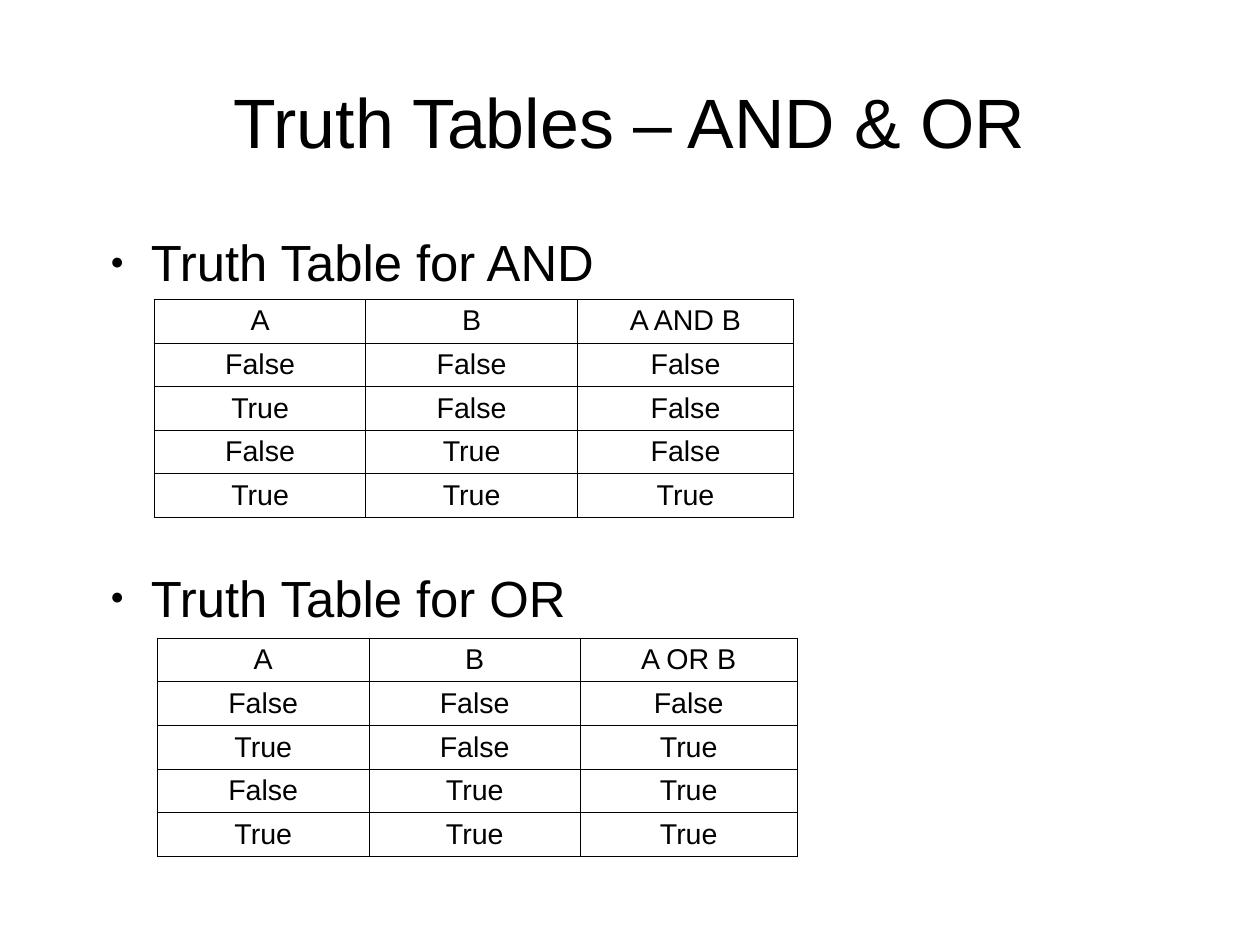
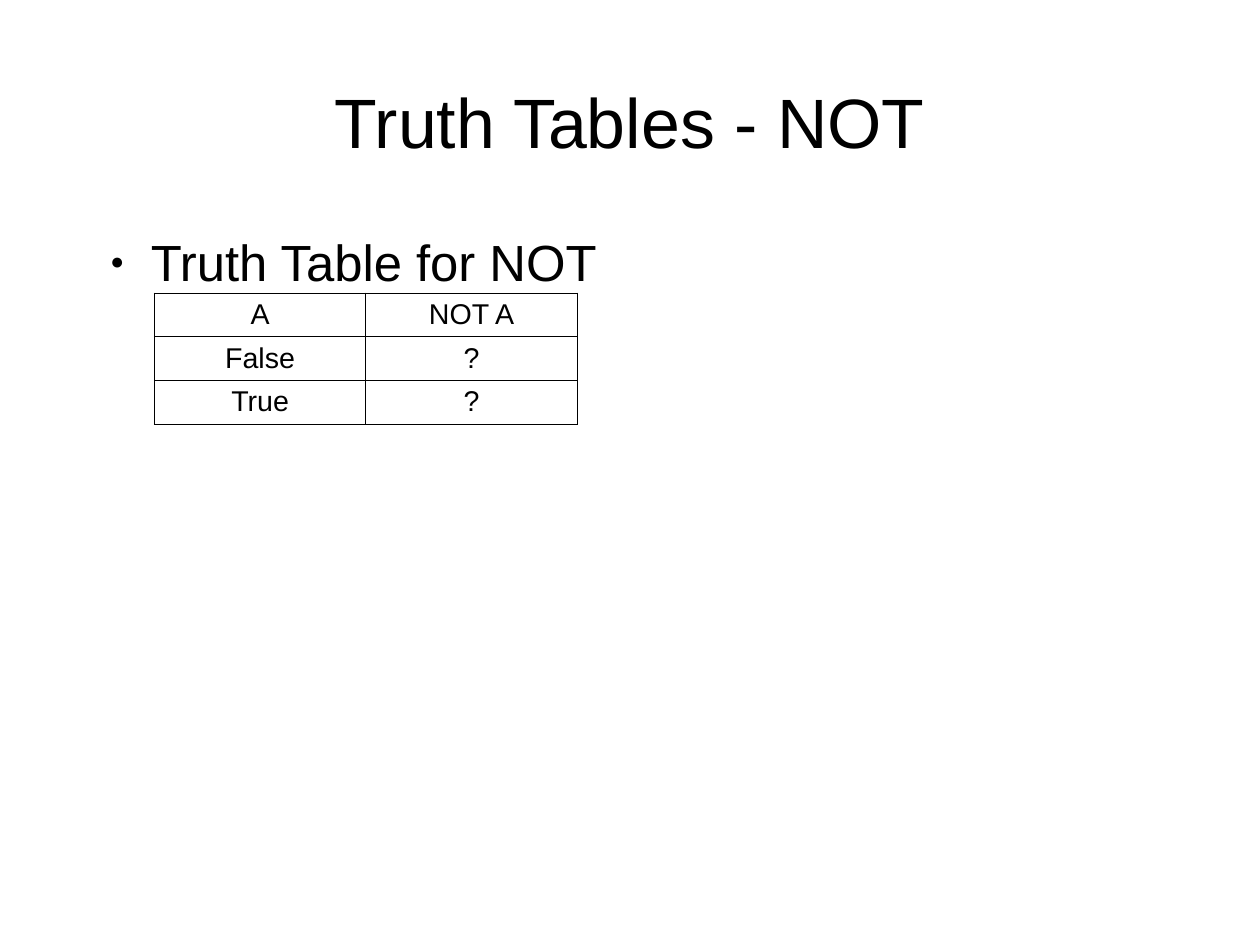
from lxml import etree
from pptx import Presentation
from pptx.dml.color import RGBColor
from pptx.enum.text import MSO_ANCHOR, MSO_AUTO_SIZE, PP_ALIGN
from pptx.oxml.ns import qn
from pptx.util import Cm, Pt

CENTER, LEFT = PP_ALIGN.CENTER, PP_ALIGN.LEFT
TOP, MIDDLE = MSO_ANCHOR.TOP, MSO_ANCHOR.MIDDLE
FIXED, GROW = MSO_AUTO_SIZE.NONE, MSO_AUTO_SIZE.SHAPE_TO_FIT_TEXT
COLORS = {"ink": "000000"}


class Deck:
    """Hold the shared style and the current slide."""

    font = "Arial"
    sizes = {"title": 44, "list": 32, "cell": 18}
    row = 0.97
    line = Pt(0.57)

    def __init__(self):
        self.prs = Presentation()
        self.prs.slide_width, self.prs.slide_height = Cm(28), Cm(21)

    def apply(self, thing, form):
        for name, value in form.items():
            setattr(thing, name, value)

    def node(self, parent, tag, **attrs):
        return etree.SubElement(parent, qn(tag), attrs)

    def ink(self, parent):
        self.node(parent, "a:srgbClr", val=COLORS["ink"])

    def label(self, para, text, kind, align):
        self.apply(para, {"alignment": align, "line_spacing": 1.0,
                          "space_before": Pt(0), "space_after": Pt(0)})
        run = para.add_run()
        run.text = text
        self.apply(run.font, {"name": self.font, "size": Pt(self.sizes[kind]),
                              "bold": False})
        run.font.color.rgb = RGBColor.from_string(COLORS["ink"])

    def place(self, shape, box, anchor, fit, drop):
        sides = ("left", "top", "width", "height")
        self.apply(shape, dict(zip(sides, map(Cm, box))))
        frame = shape.text_frame
        self.apply(frame, {"margin_left": 0, "margin_right": 0,
                           "margin_top": Cm(drop), "margin_bottom": 0,
                           "vertical_anchor": anchor, "auto_size": fit,
                           "word_wrap": True})
        return frame

    def slide(self, title):
        self.page = self.prs.slides.add_slide(self.prs.slide_layouts[1])
        frame = self.place(self.page.shapes.title, (1.4, 0.84, 25.2, 3.5),
                           MIDDLE, GROW, 0.2)
        self.label(frame.paragraphs[0], title, "title", CENTER)

    def list(self, items, gap=0):
        frame = self.place(self.page.placeholders[1],
                           (2.15, 5.03, 24.64, 14.78), TOP, FIXED, 0.1)
        for i, item in enumerate(items):
            para = frame.add_paragraph() if i else frame.paragraphs[0]
            props = para._p.get_or_add_pPr()
            props.set("marL", str(Cm(1.2)))
            props.set("indent", str(Cm(-0.9)))
            self.ink(self.node(props, "a:buClr"))
            self.node(props, "a:buSzPct", val="45000")
            self.node(props, "a:buChar", char="●")
            self.label(para, item, "list", LEFT)
            if i:
                para.space_before = Pt(gap)

    def border(self, cell):
        props = cell._tc.get_or_add_tcPr()
        for side in ("a:lnL", "a:lnR", "a:lnT", "a:lnB"):
            edge = self.node(props, side, w=str(self.line))
            self.ink(self.node(edge, "a:solidFill"))

    def table(self, left, top, cols, rows):
        frame = self.page.shapes.add_table(
            len(rows), len(cols), Cm(left), Cm(top),
            Cm(sum(cols)), Cm(self.row * len(rows)))
        grid = frame.table
        self.apply(grid, {"first_row": False, "horz_banding": False})
        for col, width in zip(grid.columns, cols):
            col.width = Cm(width)
        for line, words in zip(grid.rows, rows):
            line.height = Cm(self.row)
            for cell, word in zip(line.cells, words):
                self.border(cell)
                cell.fill.background()
                self.label(cell.text_frame.paragraphs[0], word, "cell", CENTER)


def truth(name, rule):
    pairs = [(a, b) for b in (False, True) for a in (False, True)]
    return [("A", "B", name)] + [
        (str(a), str(b), str(rule(a, b))) for a, b in pairs]


def main():
    deck = Deck()
    wide = (4.7, 4.7, 4.81)
    deck.slide("Truth Tables – AND & OR")
    deck.list(["Truth Table for AND", "Truth Table for OR"], gap=173)
    deck.table(3.43, 6.65, wide, truth("A AND B", lambda a, b: a and b))
    deck.table(3.5, 14.18, wide, truth("A OR B", lambda a, b: a or b))

    deck.slide("Truth Tables - NOT")
    deck.list(["Truth Table for NOT"])
    deck.table(3.43, 6.51, (4.7, 4.7),
               [("A", "NOT A"), ("False", "?"), ("True", "?")])
    deck.prs.save("out.pptx")


if __name__ == "__main__":
    main()
